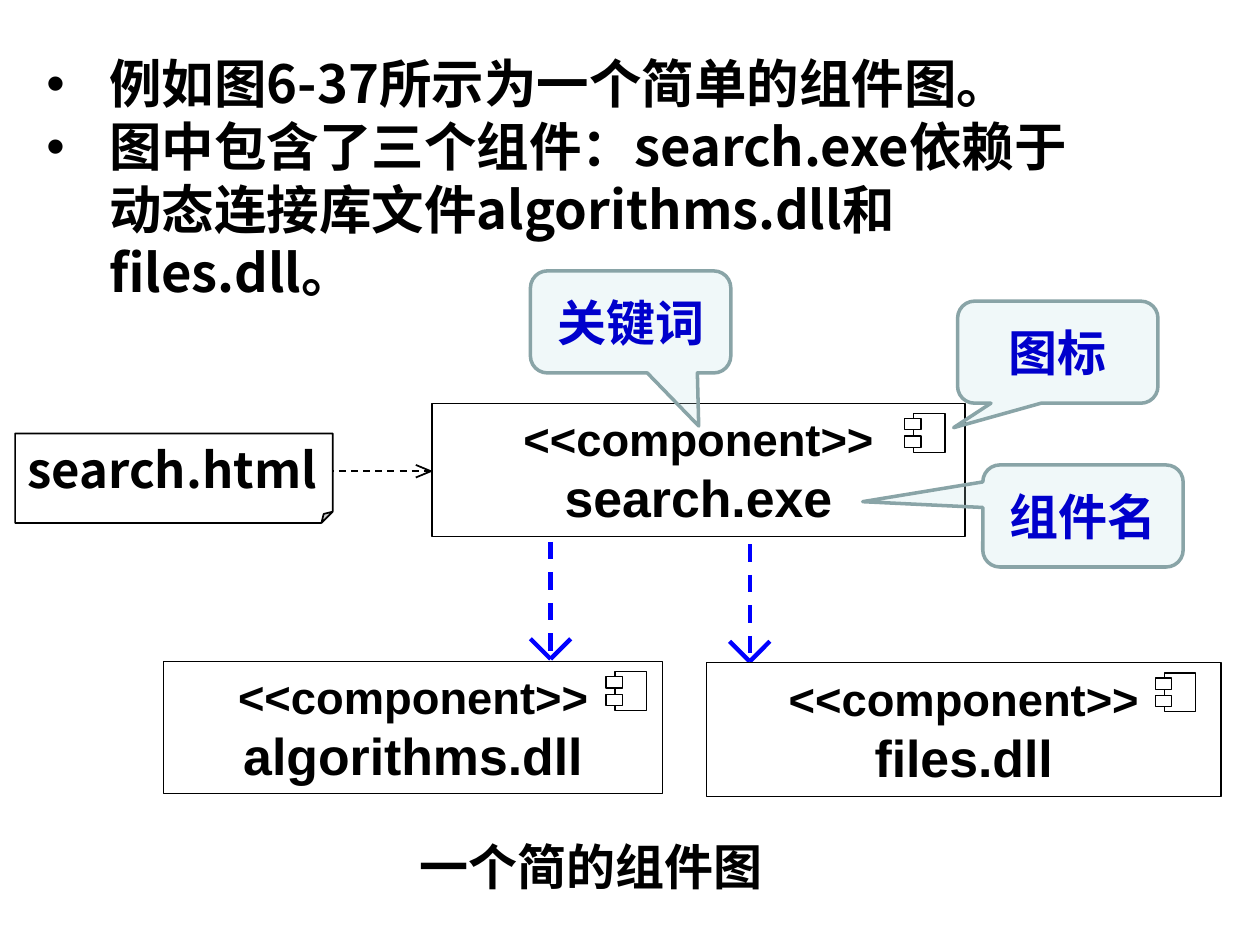
import pptx
import pptx.util
import pptx.dml.color
import pptx.enum.dml
import pptx.enum.shapes
import pptx.enum.text
import pptx.oxml
import pptx.oxml.ns
import lxml.etree
from dataclasses import dataclass

Inches = pptx.util.Inches
Shapes = pptx.enum.shapes.MSO_SHAPE
Anchor = pptx.enum.text.MSO_ANCHOR
Align = pptx.enum.text.PP_ALIGN
qn = pptx.oxml.ns.qn


@dataclass(frozen=True)
class Theme:
    ink: str = "000000"
    paper: str = "FFFFFF"
    arrow: str = "0000FF"
    callout_fill: str = "BBE0E3"
    callout_alpha: int = 21
    callout_line: str = "89A4A7"
    callout_text: str = "0000CC"
    latin: str = "Arial"
    chinese: str = "Noto Sans CJK SC"
    body: float = 30
    label: float = 28
    keyword: float = 25.9
    name: float = 29.6
    thin: float = 0.75
    medium: float = 1
    callout_width: float = 2
    thick: float = 2.5


THEME = Theme()


def rgb(value):
    return pptx.dml.color.RGBColor.from_string(value)


def inches(box):
    return [Inches(value) for value in box]


def write(shape, lines, sizes, font, color=THEME.ink, align=Align.CENTER,
          anchor=Anchor.MIDDLE, margins=(0.1, 0.05), wrap=True):
    """Fill a shape with bold lines, one paragraph each."""
    frame = shape.text_frame
    frame.text = "\n".join(lines)
    frame.word_wrap = wrap
    frame.vertical_anchor = anchor
    frame.margin_left = frame.margin_right = Inches(margins[0])
    frame.margin_top = frame.margin_bottom = Inches(margins[1])
    for paragraph, size in zip(frame.paragraphs, sizes):
        paragraph.alignment = align
        for run in paragraph.runs:
            run.font.size = pptx.util.Pt(size)
            run.font.bold = True
            run.font.name = font
            run.font.color.rgb = rgb(color)
            east_asian = lxml.etree.SubElement(run.font._element, qn("a:ea"))
            east_asian.set("typeface", font)


def add_box(shapes, kind, box, width, fill=THEME.paper, line=THEME.ink):
    shape = shapes.add_shape(kind, *inches(box))
    shape.shadow.inherit = False
    shape.fill.solid()
    shape.fill.fore_color.rgb = rgb(fill)
    shape.line.color.rgb = rgb(line)
    shape.line.width = pptx.util.Pt(width)
    return shape


def add_line(shapes, start, end, color, width, dashed=False):
    line = shapes.add_connector(pptx.enum.shapes.MSO_CONNECTOR.STRAIGHT,
                                *inches((*start, *end)))
    line.line.color.rgb = rgb(color)
    line.line.width = pptx.util.Pt(width)
    if dashed:
        line.line.dash_style = pptx.enum.dml.MSO_LINE.DASH
    lxml.etree.SubElement(line._element.spPr, qn("a:effectLst"))


def add_dependency(slide, start, tip, head, color, width):
    """Dashed arrow, level or upright, with an open head (length, half width)."""
    group = slide.shapes.add_group_shape()
    length, half = head
    level = start[1] == tip[1]
    add_line(group.shapes, start, tip, color, width, dashed=True)
    for side in (-half, half):
        offset = (-length, side) if level else (side, -length)
        wing = (tip[0] + offset[0], tip[1] + offset[1])
        add_line(group.shapes, wing, tip, color, width)


def add_component(slide, box, name, icon_inset):
    """Component box with its keyword, name and icon."""
    left, top, width, _ = box
    component = add_box(slide.shapes, Shapes.RECTANGLE, box, THEME.thin)
    write(component, ["<<component>>", name], [THEME.keyword, THEME.name],
          THEME.latin, margins=(0.07, 0.04))
    icon = slide.shapes.add_group_shape()
    x, y = left + width - icon_inset, top + 0.08
    parts = [(x + 0.07, y, 0.25, 0.31),
             (x, y + 0.04, 0.13, 0.09), (x, y + 0.18, 0.13, 0.09)]
    for part in parts:
        add_box(icon.shapes, Shapes.RECTANGLE, part, THEME.thin)


def add_callout(slide, left, top, text, pointer):
    callout = add_box(slide.shapes, Shapes.ROUNDED_RECTANGULAR_CALLOUT,
                      (left, top, 1.59, 0.81), THEME.callout_width,
                      THEME.callout_fill, THEME.callout_line)
    callout.adjustments[0], callout.adjustments[1] = pointer
    color = callout._element.spPr.find(qn("a:solidFill"))[0]
    alpha = lxml.etree.SubElement(color, qn("a:alpha"))
    alpha.set("val", str(THEME.callout_alpha * 1000))
    write(callout, [text], [THEME.label], THEME.chinese, THEME.callout_text)


def add_introduction(slide, box):
    """Two bulleted paragraphs and an indented continuation."""
    lines = ["例如图6-37所示为一个简单的组件图。",
             "图中包含了三个组件：search.exe依赖于",
             "动态连接库文件algorithms.dll和files.dll。"]
    text_box = slide.shapes.add_textbox(*inches(box))
    write(text_box, lines, [THEME.body] * 3, THEME.chinese,
          align=Align.LEFT, anchor=Anchor.TOP)
    text_box.text_frame.margin_right = Inches(0.4)
    for index, paragraph in enumerate(text_box.text_frame.paragraphs):
        properties = paragraph._p.get_or_add_pPr()
        properties.set("marL", str(Inches(0.5)))
        if index < 2:
            properties.set("indent", str(Inches(-0.5)))
            font = lxml.etree.SubElement(properties, qn("a:buFont"))
            font.set("typeface", THEME.latin)
            bullet = lxml.etree.SubElement(properties, qn("a:buChar"))
            bullet.set("char", "•")


def add_note(slide, box, text):
    note = add_box(slide.shapes, Shapes.FOLDED_CORNER, box, THEME.medium)
    # The fold is an eighth of the shorter side
    geometry = note._element.spPr.find(qn("a:prstGeom"))
    fold = lxml.etree.SubElement(geometry.get_or_add_avLst(), qn("a:gd"))
    fold.set("name", "adj")
    fold.set("fmla", "val 12500")
    write(note, [text], [THEME.label], THEME.chinese,
          align=Align.LEFT, anchor=Anchor.TOP)


def add_caption(slide, box, text):
    caption = slide.shapes.add_textbox(*inches(box))
    write(caption, [text], [THEME.label], THEME.chinese, wrap=False)


def build_component_slide(presentation):
    slide = presentation.slides.add_slide(presentation.slide_layouts[6])

    # Components and the dependencies between them
    add_component(slide, (3.43, 3.2, 4.23, 1.06), "search.exe", 0.48)
    add_dependency(slide, (2.4, 3.74), (3.42, 3.74), (0.12, 0.05),
                   THEME.ink, THEME.medium)
    for x, start, tip in ((5.95, 4.32, 5.25), (4.37, 4.3, 5.23)):
        add_dependency(slide, (x, start), (x, tip), (0.16, 0.16),
                       THEME.arrow, THEME.thick)
    add_component(slide, (5.61, 5.26, 4.08, 1.06), "files.dll", 0.52)
    add_component(slide, (1.3, 5.25, 3.96, 1.05), "algorithms.dll", 0.45)
    add_note(slide, (0.12, 3.44, 2.52, 0.71), "search.html")

    # Wording around the diagram
    add_introduction(slide, (0.27, 0.36, 9.14, 1.6))
    add_caption(slide, (3.23, 6.59, 2.92, 0.57), "一个简的组件图")

    # Explanatory callouts
    add_callout(slide, 7.6, 2.39, "图标", (-0.52, 0.74))
    add_callout(slide, 4.21, 2.15, "关键词", (0.34, 1.02))
    add_callout(slide, 7.8, 3.69, "组件名", (-1.1, -0.14))


presentation = pptx.Presentation()
presentation.slide_width = Inches(10)
presentation.slide_height = Inches(7.5)
build_component_slide(presentation)
presentation.save("out.pptx")
